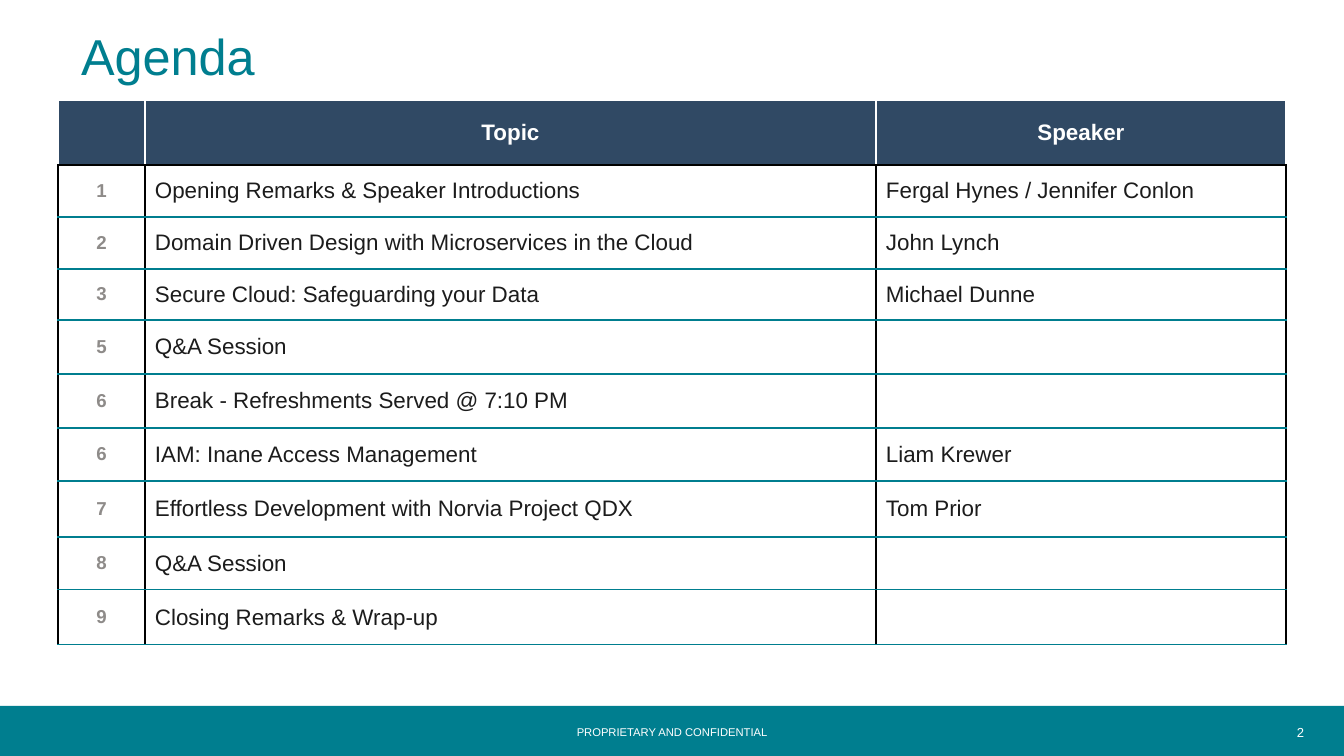
from dataclasses import dataclass

from lxml import etree
from pptx import Presentation
from pptx.dml.color import RGBColor
from pptx.enum.shapes import MSO_SHAPE
from pptx.enum.text import MSO_ANCHOR, PP_ALIGN
from pptx.oxml.ns import qn
from pptx.util import Emu, Pt

LEFT, CENTER = PP_ALIGN.LEFT, PP_ALIGN.CENTER
TOP, MIDDLE, BOTTOM = MSO_ANCHOR.TOP, MSO_ANCHOR.MIDDLE, MSO_ANCHOR.BOTTOM
RECTANGLE = MSO_SHAPE.RECTANGLE
TITLE_ONLY = 5
EMU_PER_PX = 914400 / 134.4


@dataclass(frozen=True)
class Theme:
    font: str = "Arial"
    teal: str = "007E8F"
    navy: str = "304964"
    white: str = "FFFFFF"
    black: str = "000000"
    ink: str = "1C1C1C"
    gray: str = "8E8B89"
    title_size: int = 27
    body_size: int = 12
    number_size: int = 10
    page_size: int = 7
    footer_size: int = 6
    thin: float = 0.75
    thick: float = 0.96


THEME = Theme()
HEADINGS = ("", "Topic", "Speaker")
SESSIONS = (
    ("1", "Opening Remarks & Speaker Introductions", "Fergal Hynes / Jennifer Conlon"),
    ("2", "Domain Driven Design with Microservices in the Cloud", "John Lynch"),
    ("3", "Secure Cloud: Safeguarding your Data", "Michael Dunne"),
    ("5", "Q&A Session", ""),
    ("6", "Break - Refreshments Served @ 7:10 PM", ""),
    ("6", "IAM: Inane Access Management", "Liam Krewer"),
    ("7", "Effortless Development with Norvia Project QDX", "Tom Prior"),
    ("8", "Q&A Session", ""),
    ("9", "Closing Remarks & Wrap-up", ""),
)
COLUMN_WIDTHS = (87, 731, 410)
ROW_HEIGHTS = (65, 52, 52, 51, 54, 54, 53, 56, 53, 55)


def px(length):
    return Emu(round(length * EMU_PER_PX))


def box(*lengths):
    return [px(length) for length in lengths]


def write(frame, text, *, size, color, bold=False, align=LEFT, anchor=MIDDLE,
          inset=(0, 5), spacing=None):
    """Fill a text frame; inset is (horizontal, vertical) in px."""
    frame.word_wrap = True
    frame.vertical_anchor = anchor
    frame.margin_left = frame.margin_right = px(inset[0])
    frame.margin_top = frame.margin_bottom = px(inset[1])
    paragraph = frame.paragraphs[0]
    paragraph.alignment = align
    paragraph.line_spacing = spacing
    run = paragraph.add_run()
    run.text = text
    run.font.name = THEME.font
    run.font.size = Pt(size)
    run.font.bold = bold
    run.font.color.rgb = RGBColor.from_string(color)


def add_label(slide, bounds, text, **text_format):
    label = slide.shapes.add_textbox(*box(*bounds))
    write(label.text_frame, text, color=THEME.white, align=CENTER, **text_format)


def add_title(slide, text):
    title = slide.shapes.title
    title.left, title.top, title.width, title.height = box(81, 21, 1182, 70)
    write(title.text_frame, text, size=THEME.title_size, color=THEME.teal,
          anchor=BOTTOM, spacing=0.9)


def add_footer(slide, notice, page):
    band = slide.shapes.add_shape(RECTANGLE, *box(0, 706, 1344, 50))
    band.shadow.inherit = False
    band.fill.solid()
    band.fill.fore_color.rgb = RGBColor.from_string(THEME.teal)
    band.line.fill.background()
    add_label(slide, (0, 720, 1344, 23), notice, size=THEME.footer_size,
              anchor=TOP, inset=(10, 5))
    add_label(slide, (1281, 712, 39, 40), page, size=THEME.page_size)


def style_cell(cell, fill, borders):
    """Set the fill and the (color, width) borders in the order L, R, T, B."""
    properties = cell._tc.get_or_add_tcPr()
    for side, (color, width) in zip("LRTB", borders):
        line = etree.SubElement(properties, qn(f"a:ln{side}"), w=str(Pt(width)))
        solid = etree.SubElement(line, qn("a:solidFill"))
        etree.SubElement(solid, qn("a:srgbClr"), val=color)
    cell.fill.solid()
    cell.fill.fore_color.rgb = RGBColor.from_string(fill)


def add_agenda(slide):
    rows = (HEADINGS,) + SESSIONS
    bounds = box(58, 100, sum(COLUMN_WIDTHS), sum(ROW_HEIGHTS))
    agenda = slide.shapes.add_table(len(rows), len(HEADINGS), *bounds).table
    agenda.horz_banding = False
    for column, width in zip(agenda.columns, COLUMN_WIDTHS):
        column.width = px(width)
    for row, height in zip(agenda.rows, ROW_HEIGHTS):
        row.height = px(height)

    white = (THEME.white, THEME.thick)
    black = (THEME.black, THEME.thin)
    teal = (THEME.teal, THEME.thick)
    heading = dict(size=THEME.body_size, color=THEME.white, bold=True, align=CENTER)
    number = dict(size=THEME.number_size, color=THEME.gray, bold=True, align=CENTER)
    body = dict(size=THEME.body_size, color=THEME.ink)
    for r, texts in enumerate(rows):
        if r == 0:
            fill, borders = THEME.navy, (white, white, white, black)
            formats = (heading,) * 3
        else:
            fill = THEME.white
            borders = (black, black, black if r == 1 else teal, teal)
            formats = (number, body, body)
        for c, (text, text_format) in enumerate(zip(texts, formats)):
            cell = agenda.cell(r, c)
            style_cell(cell, fill, borders)
            cell.vertical_anchor = MIDDLE
            cell.margin_left = cell.margin_right = px(10)
            cell.margin_top = cell.margin_bottom = px(6)
            if text:
                write_cell(cell, text, text_format)


def write_cell(cell, text, text_format):
    """Write text, leaving anchor and margins to the cell itself."""
    write(cell.text_frame, text, inset=(0, 0), **text_format)


def main():
    presentation = Presentation()
    presentation.slide_width, presentation.slide_height = box(1344, 756)
    slide = presentation.slides.add_slide(presentation.slide_layouts[TITLE_ONLY])
    add_footer(slide, "PROPRIETARY AND CONFIDENTIAL", "2")
    add_agenda(slide)
    add_title(slide, "Agenda")
    presentation.save("out.pptx")


if __name__ == "__main__":
    main()
